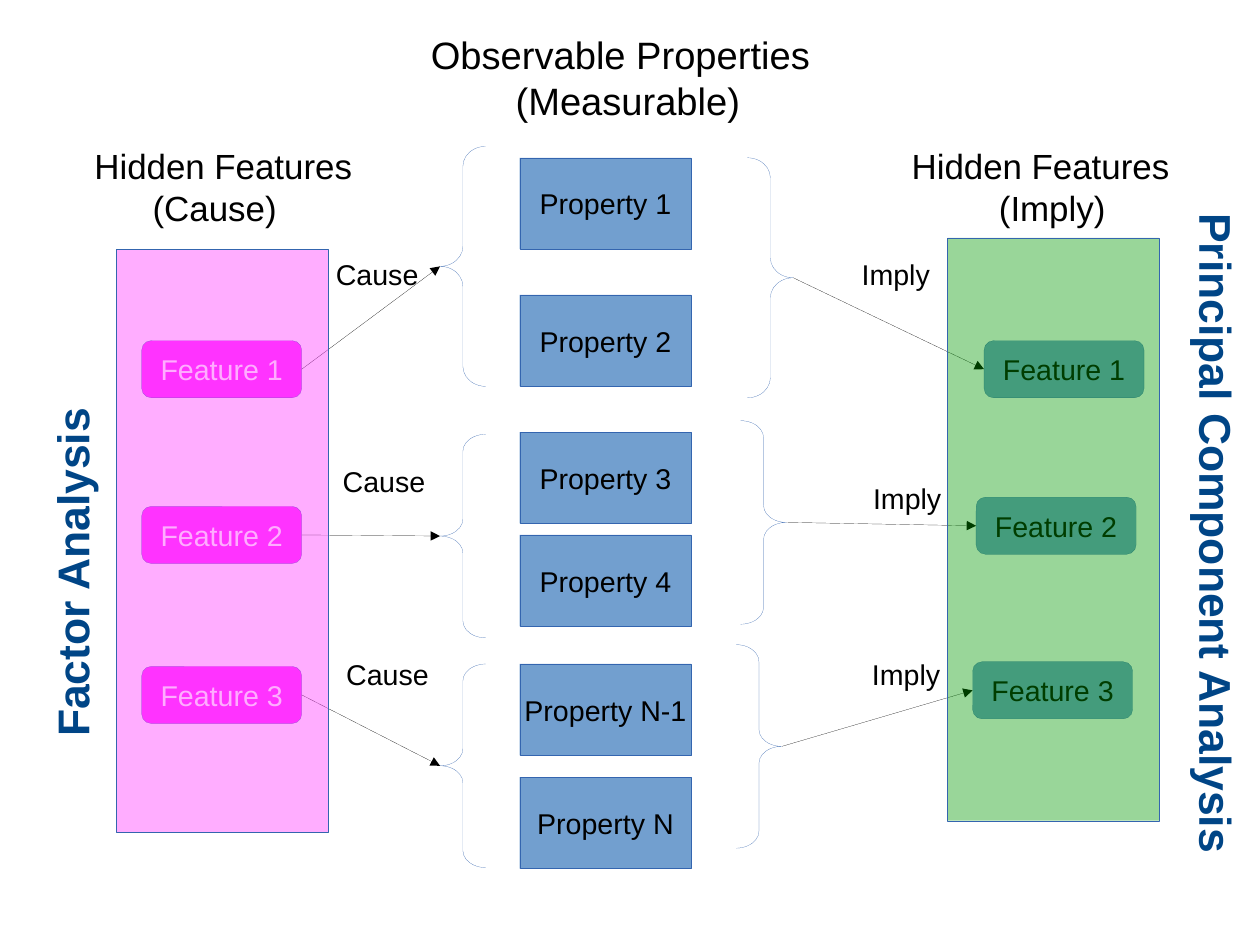
from lxml import etree
from pptx import Presentation
from pptx.dml.color import RGBColor
from pptx.enum.shapes import MSO_CONNECTOR, MSO_SHAPE as SHAPE
from pptx.enum.text import MSO_ANCHOR, MSO_AUTO_SIZE, PP_ALIGN
from pptx.oxml.ns import qn
from pptx.util import Pt

COLORS = {
    "black": "000000", "white": "FFFFFF", "outline": "3465AF", "blue": "729FCF",
    "pink": "FF33FF", "green": "009900", "navy": "004586",
}
FONT = "Arial"
HAIRLINE = 0.1
FEATURE_W, FEATURE_H = 100.8, 36
BRACE_W = 28.8
LABEL_W, LABEL_H = 72, 27.4

# Property boxes: text, top
PROPERTIES = [
    ("Property 1", 99.4), ("Property 2", 185.8), ("Property 3", 272.2),
    ("Property 4", 337), ("Property N-1", 418.3), ("Property N", 489.6),
]
# Each row: feature left, top; brace left, top, height; label left, top
CAUSES = [
    (89.3, 214.6, 277.2, 92.2, 151.2, 204.5, 158.4),
    (89.3, 319, 277.2, 273.6, 128.2, 208.8, 288.7),
    (89.3, 419.8, 277.2, 418.3, 128.2, 211, 410.4),
]
IMPLICATIONS = [
    (619.9, 214.6, 470.9, 99.4, 151.2, 535.7, 158.4),
    (614.9, 313.2, 466.6, 265, 128.2, 542.9, 299.5),
    (612.7, 416.9, 463.7, 406.1, 128.2, 542.2, 410.4),
]


def rgb(name):
    return RGBColor.from_string(COLORS[name])


def style_runs(tf, size, color, bold=False):
    for p in tf.paragraphs:
        for r in p.runs:
            r.font.name, r.font.size, r.font.bold = FONT, Pt(size), bold
            r.font.color.rgb = rgb(color)


def set_line(sp, color):
    sp.line.color.rgb = rgb(color)
    sp.line.width = Pt(HAIRLINE)


def add_outlined(s, kind, x, y, w, h):
    sp = s.shapes.add_shape(kind, Pt(x), Pt(y), Pt(w), Pt(h))
    sp.shadow.inherit = False
    set_line(sp, "outline")
    return sp


def add_box(s, kind, text, x, y, w, h, fill, color):
    sp = add_outlined(s, kind, x, y, w, h)
    sp.fill.solid()
    sp.fill.fore_color.rgb = rgb(fill)
    tf = sp.text_frame
    tf.text = text
    tf.word_wrap = False
    tf.vertical_anchor = MSO_ANCHOR.MIDDLE
    tf.paragraphs[0].alignment = PP_ALIGN.CENTER
    style_runs(tf, 18, color)
    return sp


def add_panel(s, x, y, fill):
    """Translucent panel laid over a column of features."""
    sp = add_outlined(s, SHAPE.RECTANGLE, x, y, 133.2, 367.2)
    sp.fill.solid()
    sp.fill.fore_color.rgb = rgb(fill)
    color = sp.fill._xPr.find(qn("a:solidFill"))[0]
    etree.SubElement(color, qn("a:alpha"), val="40000")


def add_brace(s, kind, x, y, h):
    sp = add_outlined(s, kind, x, y, BRACE_W, h)
    sp.fill.background()
    sp.adjustments[0] = h / 12 / BRACE_W


def add_arrow(s, x1, y1, x2, y2):
    cxn = s.shapes.add_connector(
        MSO_CONNECTOR.STRAIGHT, Pt(x1), Pt(y1), Pt(x2), Pt(y2))
    set_line(cxn, "black")
    etree.SubElement(cxn.line._get_or_add_ln(), qn("a:tailEnd"), type="triangle")
    etree.SubElement(cxn._element.spPr, qn("a:effectLst"))
    return cxn


def add_label(s, text, x, y, w, h, size=18, color="black", bold=False, rotation=0):
    sp = s.shapes.add_textbox(Pt(x), Pt(y), Pt(w), Pt(h))
    sp.rotation = rotation
    tf = sp.text_frame
    tf.text = text
    tf.word_wrap = True
    style_runs(tf, size, color, bold)
    return sp


def indent_second_line(tf, margin):
    pPr = tf.paragraphs[1]._p.get_or_add_pPr()
    pPr.set("marL", str(Pt(margin)))
    pPr.set("indent", "0")


def add_title(s):
    sp = s.shapes.title
    sp.left, sp.top, sp.width, sp.height = Pt(264.2), Pt(16.2), Pt(260), Pt(61.2)
    tf = sp.text_frame
    tf.text = "Observable Properties\n(Measurable)"
    tf.auto_size = MSO_AUTO_SIZE.NONE
    tf.vertical_anchor = MSO_ANCHOR.TOP
    for p in tf.paragraphs:
        p.alignment = PP_ALIGN.LEFT
    indent_second_line(tf, 53.4)
    style_runs(tf, 24, "black")


def add_heading(s, text, x, margin):
    sp = add_label(s, text, x, 87.5, 182.9, 56.2, size=22)
    indent_second_line(sp.text_frame, margin)


def add_relations(s, rows, label, fill, color, causes):
    """Features joined to braces: outward for causes, inward for implications."""
    brace = SHAPE.LEFT_BRACE if causes else SHAPE.RIGHT_BRACE
    for i, (fx, fy, bx, by, bh, lx, ly) in enumerate(rows, 1):
        feature = add_box(s, SHAPE.ROUNDED_RECTANGLE, f"Feature {i}", fx, fy,
                          FEATURE_W, FEATURE_H, fill, color)
        add_brace(s, brace, bx, by, bh)
        add_label(s, label, lx, ly, LABEL_W, LABEL_H)
        feature_y, brace_y = fy + FEATURE_H / 2, by + bh / 2
        if causes:
            cxn = add_arrow(s, fx + FEATURE_W, feature_y, bx, brace_y)
            cxn.begin_connect(feature, 3)
        else:
            cxn = add_arrow(s, bx + BRACE_W, brace_y, fx, feature_y)
            cxn.end_connect(feature, 1)


def main():
    prs = Presentation()
    prs.slide_width, prs.slide_height = Pt(793.7), Pt(595.3)
    s = prs.slides.add_slide(prs.slide_layouts[5])

    add_title(s)
    for text, y in PROPERTIES:
        add_box(s, SHAPE.RECTANGLE, text, 327.4, y, 108, 57.6, "blue", "black")
    add_relations(s, CAUSES, "Cause", "pink", "white", causes=True)
    add_relations(s, IMPLICATIONS, "Imply", "blue", "black", causes=False)
    add_heading(s, "Hidden Features\n(Cause)", 52.4, 36.7)
    add_heading(s, "Hidden Features\n(Imply)", 567.2, 55)
    add_panel(s, 73.4, 157, "pink")
    add_panel(s, 596.9, 149.8, "green")
    add_label(s, "Factor Analysis", -74.9, 333.4, 237.6, 38.2,
              28, "navy", True, 270)
    add_label(s, "Principal Component Analysis", 542.2, 321.8, 439.2, 50.4,
              28, "navy", True, 90)
    prs.save("out.pptx")


if __name__ == "__main__":
    main()
